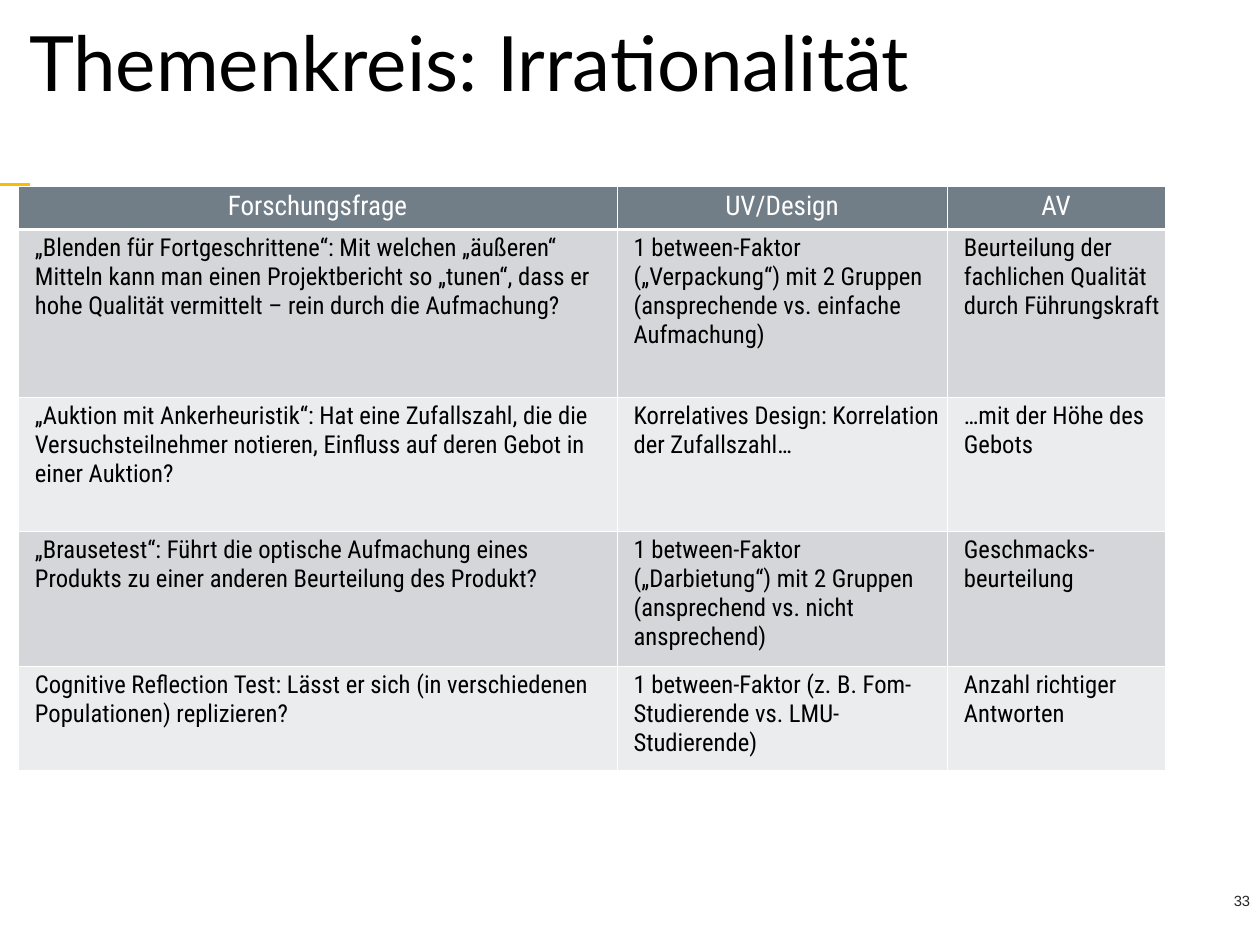
import pptx
import pptx.dml.color
import pptx.enum.shapes
import pptx.enum.text
import pptx.oxml
import pptx.oxml.ns
import pptx.util

Pt = pptx.util.Pt
ALIGN = pptx.enum.text.PP_ALIGN
ANCHOR = pptx.enum.text.MSO_ANCHOR
NAMESPACE = pptx.oxml.ns.nsdecls("a")


def color(value):
    return pptx.dml.color.RGBColor.from_string(value)


class SlideBuilder:
    header_fill = "717D87"
    band_fills = ("D4D6D9", "EBECED")
    table_font = "Roboto Condensed"
    cell_inset = 3.6
    text_indent = 10

    def __init__(self, presentation):
        self.slide = presentation.slides.add_slide(presentation.slide_layouts[6])

    def add_text(self, paragraph, text, font, size, hex_color, **formats):
        for name, value in formats.items():
            setattr(paragraph, name, value)
        run = paragraph.add_run()
        run.text = text
        for name, value in {"name": font, "size": Pt(size), "bold": False}.items():
            setattr(run.font, name, value)
        run.font.color.rgb = color(hex_color)

    def indent(self, paragraph, left, first_line):
        properties = paragraph._p.get_or_add_pPr()
        properties.set("marL", str(Pt(left)))
        properties.set("indent", str(Pt(first_line)))

    def set_margins(self, target, inset):
        for side in ("left", "top", "right", "bottom"):
            setattr(target, f"margin_{side}", Pt(inset))

    def text_box(self, left, top, width, height, inset, anchor):
        shape = self.slide.shapes.add_textbox(Pt(left), Pt(top), Pt(width), Pt(height))
        frame = shape.text_frame
        frame.word_wrap = True
        frame.vertical_anchor = anchor
        self.set_margins(frame, inset)
        return frame.paragraphs[0]

    def line(self, start_x, start_y, end_x, end_y, hex_color, width):
        connector = self.slide.shapes.add_connector(
            pptx.enum.shapes.MSO_CONNECTOR.STRAIGHT,
            Pt(start_x), Pt(start_y), Pt(end_x), Pt(end_y))
        connector.line.color.rgb = color(hex_color)
        connector.line.width = Pt(width)
        connector._element.spPr.append(
            pptx.oxml.parse_xml(f"<a:effectLst {NAMESPACE}/>"))

    def cell_borders(self, cell, widths):
        properties = cell._tc.get_or_add_tcPr()
        for position, (side, width) in enumerate(widths.items()):
            properties.insert(position, pptx.oxml.parse_xml(
                f'<a:ln{side} {NAMESPACE} w="{Pt(width)}"><a:solidFill>'
                f'<a:srgbClr val="FFFFFF"/></a:solidFill></a:ln{side}>'))

    def table(self, left, top, column_widths, row_heights, rows):
        table = self.slide.shapes.add_table(
            len(rows), len(column_widths), Pt(left), Pt(top),
            Pt(sum(column_widths)), Pt(sum(row_heights))).table
        table.first_row = table.horz_banding = False
        for column, width in zip(table.columns, column_widths):
            column.width = Pt(width)
        for row_index, (row, height) in enumerate(zip(table.rows, row_heights)):
            row.height = Pt(height)
            for cell, text in zip(row.cells, rows[row_index]):
                self.table_cell(cell, text, row_index)

    def table_cell(self, cell, text, row_index):
        is_header = row_index == 0
        self.set_margins(cell, self.cell_inset)
        cell.fill.solid()
        fill = self.header_fill if is_header else self.band_fills[(row_index - 1) % 2]
        cell.fill.fore_color.rgb = color(fill)
        self.cell_borders(cell, {
            "L": 0.25, "R": 0.25,
            "T": 2 if row_index == 1 else 0.25,
            "B": 2 if is_header else 0.25})
        paragraph = cell.text_frame.paragraphs[0]
        if is_header:
            self.add_text(paragraph, text, self.table_font, 22, "FFFFFF",
                          alignment=ALIGN.CENTER)
        else:
            self.indent(paragraph, self.text_indent, 0)
            self.add_text(paragraph, text, self.table_font, 20, "000000")


ROWS = [
    ("Forschungsfrage", "UV/Design", "AV"),
    ("„Blenden für Fortgeschrittene“: Mit welchen „äußeren“ Mitteln kann man einen "
     "Projektbericht so „tunen“, dass er hohe Qualität vermittelt – rein durch die "
     "Aufmachung?",
     "1 between-Faktor („Verpackung“) mit 2 Gruppen (ansprechende vs. einfache "
     "Aufmachung)",
     "Beurteilung der fachlichen Qualität durch Führungskraft"),
    ("„Auktion mit Ankerheuristik“: Hat eine Zufallszahl, die die Versuchsteilnehmer "
     "notieren, Einfluss auf deren Gebot in einer Auktion?",
     "Korrelatives Design: Korrelation der Zufallszahl…",
     "…mit der Höhe des Gebots"),
    ("„Brausetest“: Führt die optische Aufmachung eines Produkts zu einer anderen "
     "Beurteilung des Produkt?",
     "1 between-Faktor („Darbietung“) mit 2 Gruppen (ansprechend vs. nicht "
     "ansprechend)",
     "Geschmacks-beurteilung"),
    ("Cognitive Reflection Test: Lässt er sich (in verschiedenen Populationen) "
     "replizieren?",
     "1 between-Faktor (z. B. Fom-Studierende vs. LMU-Studierende)",
     "Anzahl richtiger Antworten"),
]


def main():
    presentation = pptx.Presentation()
    presentation.slide_width = Pt(1024)
    presentation.slide_height = Pt(768)
    builder = SlideBuilder(presentation)

    # Accent line and slide number
    builder.line(0, 150, 24.5, 150, "F7BC05", 3)
    number = builder.text_box(850.5, 720, 170.5, 24, 5, ANCHOR.TOP)
    builder.add_text(number, "33", "Arial", 12, "262626", alignment=ALIGN.RIGHT)

    # Title
    title = builder.text_box(0, -1.5, 1024, 111.5, 3.6, ANCHOR.MIDDLE)
    builder.indent(title, builder.text_indent, builder.text_indent)
    builder.add_text(title, "Themenkreis: Irrationalität", "Lato", 62, "000000",
                     line_spacing=0.9)

    # Table of research questions
    builder.table(14.8, 151.2, (486.5, 268.5, 177), (35.3, 136, 109.5, 109.5, 84.2), ROWS)

    presentation.save("out.pptx")


if __name__ == "__main__":
    main()
